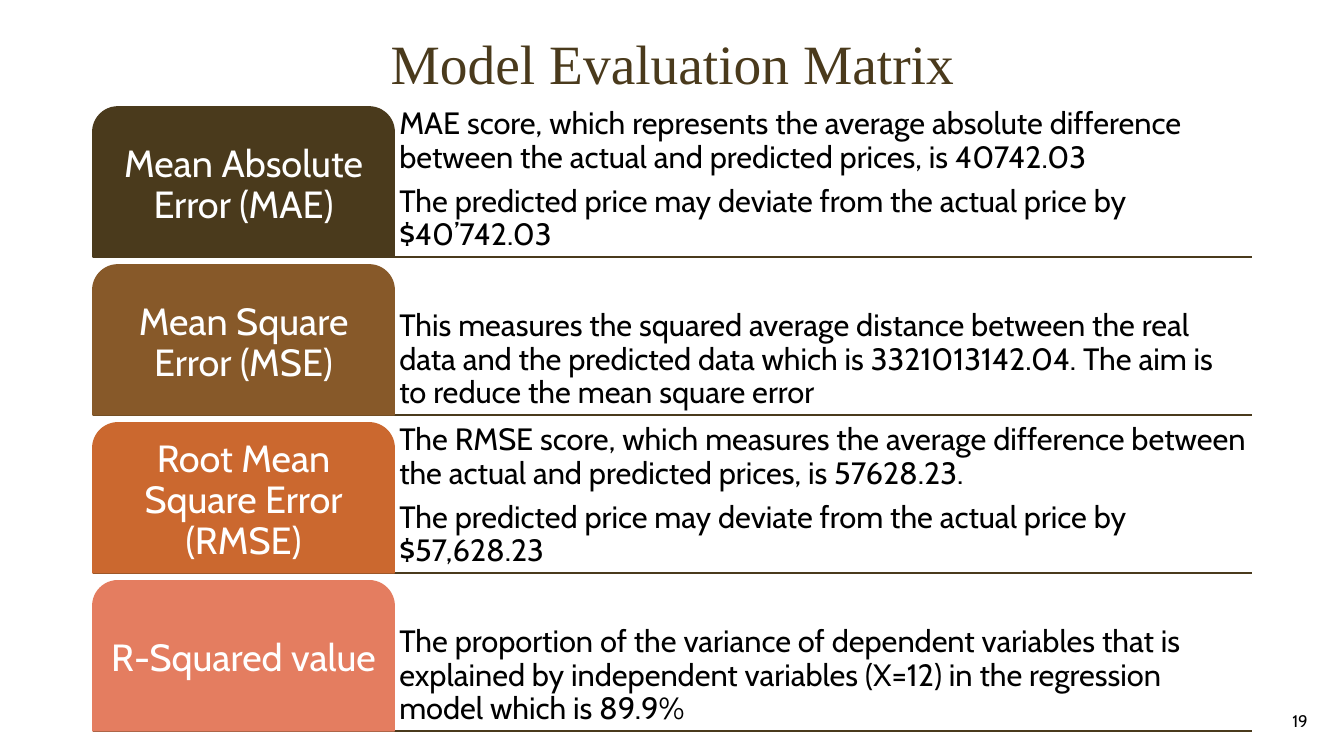
from dataclasses import dataclass

import lxml.etree
import pptx
import pptx.dml.color
import pptx.enum.shapes
import pptx.enum.text
import pptx.util
from pptx.enum.text import MSO_ANCHOR, PP_ALIGN
from pptx.util import Inches

DARK_BROWN = "4A3A1C"
BLACK = "000000"
WHITE = "FFFFFF"

LEFT, RIGHT = 0.92, 12.42
TOP, ROW_HEIGHT, ROW_PITCH = 1.06, 1.49, 1.567
LABEL_WIDTH = 2.99


@dataclass
class Metric:
    label: str
    color: str
    details: list[str]


@dataclass
class TextStyle:
    size: float
    color: str
    font: str = "Cabin"
    align: PP_ALIGN = PP_ALIGN.LEFT
    anchor: MSO_ANCHOR = MSO_ANCHOR.MIDDLE
    margin: float = 0.05
    line_spacing: float = 0.9
    space_after: float = 0


METRICS = [
    Metric("Mean Absolute Error (MAE)", DARK_BROWN, [
        "MAE score, which represents the average absolute difference between "
        "the actual and predicted prices, is 40742.03",
        "The predicted price may deviate from the actual price by $40’742.03",
    ]),
    Metric("Mean Square Error (MSE)", "875929", [
        "This measures the squared average distance between the real data and "
        "the predicted data which is 3321013142.04. The aim is to reduce the "
        "mean square error",
    ]),
    Metric("Root Mean Square Error (RMSE)", "CB682F", [
        "The RMSE score, which measures the average difference between the "
        "actual and predicted prices, is 57628.23.",
        "The predicted price may deviate from the actual price by $57,628.23",
    ]),
    Metric("R-Squared value", "E47D60", [
        "The proportion of the variance of dependent variables that is "
        "explained by independent variables (X=12) in the regression model "
        "which is 89.9%",
    ]),
]

TITLE_STYLE = TextStyle(39.6, DARK_BROWN, "Times New Roman", PP_ALIGN.CENTER)
LABEL_STYLE = TextStyle(27, WHITE, align=PP_ALIGN.CENTER, margin=0.06)
DETAIL_STYLE = TextStyle(22, BLACK, anchor=MSO_ANCHOR.BOTTOM, space_after=7.7)
NUMBER_STYLE = TextStyle(12, BLACK, align=PP_ALIGN.RIGHT, margin=0.1, line_spacing=1)


def rgb(color: str) -> pptx.dml.color.RGBColor:
    return pptx.dml.color.RGBColor.from_string(color)


def set_attributes(target: object, values: dict[str, object]) -> None:
    for name, value in values.items():
        setattr(target, name, value)


def write_text(shape, texts: list[str], style: TextStyle) -> None:
    frame = shape.text_frame
    margin = Inches(style.margin)
    set_attributes(frame, {
        "word_wrap": True,
        "auto_size": pptx.enum.text.MSO_AUTO_SIZE.NONE,
        "vertical_anchor": style.anchor,
        "margin_left": margin, "margin_right": margin,
        "margin_top": margin, "margin_bottom": margin,
    })
    for index, text in enumerate(texts):
        paragraph = frame.add_paragraph() if index else frame.paragraphs[0]
        set_attributes(paragraph, {
            "alignment": style.align,
            "line_spacing": style.line_spacing,
            "space_before": pptx.util.Pt(0),
            "space_after": pptx.util.Pt(style.space_after),
        })
        run = paragraph.add_run()
        run.text = text
        set_attributes(run.font, {"name": style.font, "size": pptx.util.Pt(style.size)})
        run.font.color.rgb = rgb(style.color)


def add_text(slide, left: float, top: float, width: float, height: float,
             texts: list[str], style: TextStyle) -> None:
    box = slide.shapes.add_textbox(Inches(left), Inches(top), Inches(width), Inches(height))
    write_text(box, texts, style)


def add_rule(slide, height: float) -> None:
    rule = slide.shapes.add_connector(
        pptx.enum.shapes.MSO_CONNECTOR.STRAIGHT,
        Inches(LEFT), Inches(height), Inches(RIGHT), Inches(height))
    rule.line.color.rgb = rgb(DARK_BROWN)
    rule.line.width = pptx.util.Pt(1)
    properties = rule.element.spPr
    lxml.etree.SubElement(properties, pptx.oxml.ns.qn("a:effectLst"))


def add_label(slide, top: float, metric: Metric) -> None:
    label = slide.shapes.add_shape(
        pptx.enum.shapes.MSO_SHAPE.ROUND_2_SAME_RECTANGLE,
        Inches(LEFT), Inches(top), Inches(LABEL_WIDTH), Inches(ROW_HEIGHT))
    label.shadow.inherit = False
    label.adjustments[0] = 0.167
    label.adjustments[1] = 0
    label.fill.solid()
    label.fill.fore_color.rgb = rgb(metric.color)
    label.line.color.rgb = rgb(metric.color)
    label.line.width = pptx.util.Pt(1)
    write_text(label, [metric.label], LABEL_STYLE)


def add_metric(slide, top: float, metric: Metric) -> None:
    add_rule(slide, top + ROW_HEIGHT)
    detail_left = LEFT + LABEL_WIDTH
    add_text(slide, detail_left, top, RIGHT - detail_left, ROW_HEIGHT,
             metric.details, DETAIL_STYLE)
    add_label(slide, top, metric)


def main() -> None:
    presentation = pptx.Presentation()
    set_attributes(presentation, {"slide_width": Inches(13.33), "slide_height": Inches(7.5)})
    slide = presentation.slides.add_slide(presentation.slide_layouts.get_by_name("Title Only"))

    # Title
    title = slide.shapes.title
    set_attributes(title, {
        "left": Inches(LEFT), "top": Inches(0.42),
        "width": Inches(RIGHT - LEFT), "height": Inches(0.47),
    })
    write_text(title, ["Model Evaluation Matrix"], TITLE_STYLE)

    # Metric rows
    for row, metric in enumerate(METRICS):
        add_metric(slide, TOP + row * ROW_PITCH, metric)

    # Slide number
    add_text(slide, 10.07, 6.95, 3, 0.4, ["19"], NUMBER_STYLE)

    presentation.save("out.pptx")


if __name__ == "__main__":
    main()
